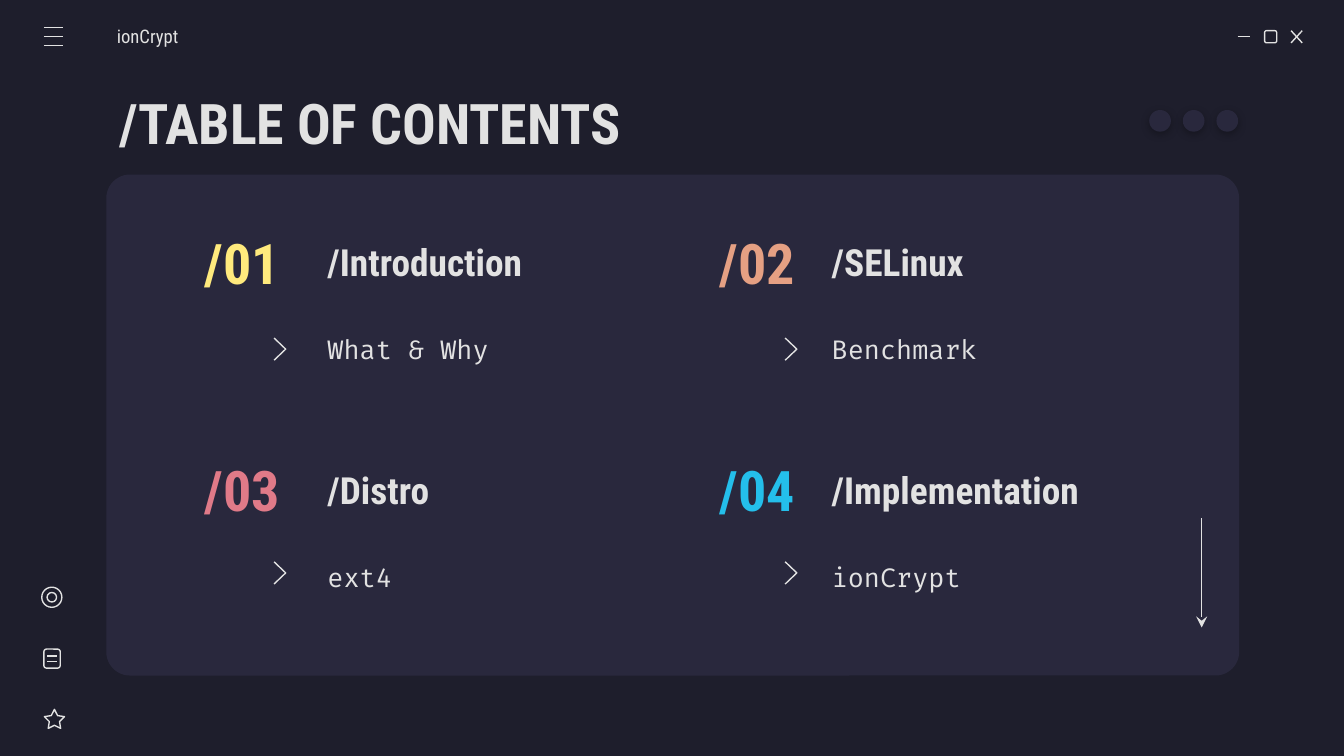
import typing

import lxml.etree
import pptx
import pptx.dml.color
import pptx.enum.shapes
import pptx.enum.text
import pptx.oxml.ns
import pptx.util

Cm = pptx.util.Cm
RGBColor = pptx.dml.color.RGBColor
Shape = pptx.enum.shapes.MSO_SHAPE
Align = pptx.enum.text.PP_ALIGN

NIGHT = RGBColor(0x1E, 0x1E, 0x2C)
PANEL = RGBColor(0x29, 0x28, 0x3D)
PALE = RGBColor(0xE2, 0xE2, 0xE2)
YELLOW = RGBColor(0xFF, 0xEA, 0x7D)
ORANGE = RGBColor(0xE5, 0xA0, 0x83)
ROSE = RGBColor(0xE0, 0x7A, 0x88)
CYAN = RGBColor(0x24, 0xBF, 0xEB)
BLACK = RGBColor(0, 0, 0)

HEADING_FONT = "Roboto Condensed"
CODE_FONT = "Fira Code"
PRODUCT = "ionCrypt"

ENTRIES = [
    ("/01", YELLOW, "/Introduction", "What & Why"),
    ("/02", ORANGE, "/SELinux", "Benchmark"),
    ("/03", ROSE, "/Distro", "ext4"),
    ("/04", CYAN, "/Implementation", PRODUCT),
]


class Box(typing.NamedTuple):
    """Left, top, width and height in centimetres."""

    left: float
    top: float
    width: float
    height: float

    def inner(self, left, top, width, height):
        """Return a box offset from this one's corner."""
        return Box(self.left + left, self.top + top, width, height)

    def lengths(self):
        """Return the four values as slide lengths."""
        return [Cm(value) for value in self]


def add_text(page, box, text, size, font=HEADING_FONT, color=PALE, bold=True,
             align=Align.LEFT, inset=0.25):
    """Add one middle-anchored line of text."""
    frame = page.shapes.add_textbox(*box.lengths()).text_frame
    frame.word_wrap = True
    frame.vertical_anchor = pptx.enum.text.MSO_ANCHOR.MIDDLE
    frame.margin_left = Cm(inset)
    frame.margin_right = frame.margin_top = frame.margin_bottom = Cm(0.25)
    frame.text = text
    para = frame.paragraphs[0]
    para.alignment = align
    span = para.runs[0].font
    span.name, span.size, span.bold = font, pptx.util.Pt(size), bold
    span.color.rgb = color


def outline(shape):
    """Give a shape a thin pale outline and no fill."""
    shape.shadow.inherit = False
    shape.fill.background()
    shape.line.color.rgb = PALE
    shape.line.width = pptx.util.Pt(0.75)


def add_icon(page, kind, box):
    """Add an outlined preset shape."""
    shape = page.shapes.add_shape(kind, *box.lengths())
    outline(shape)
    return shape


def add_filled(page, kind, box):
    """Add a panel-coloured shape without an outline."""
    shape = page.shapes.add_shape(kind, *box.lengths())
    shape.shadow.inherit = False
    shape.fill.solid()
    shape.fill.fore_color.rgb = PANEL
    shape.line.fill.background()
    return shape


def add_line(page, x1, y1, x2, y2):
    """Add a thin pale straight line."""
    line = page.shapes.add_connector(
        pptx.enum.shapes.MSO_CONNECTOR.STRAIGHT, Cm(x1), Cm(y1), Cm(x2), Cm(y2))
    line.line.color.rgb = PALE
    line.line.width = pptx.util.Pt(0.75)
    lxml.etree.SubElement(line._element.spPr, pptx.oxml.ns.qn("a:effectLst"))
    return line


def add_window_buttons(page, box):
    """Draw the minimise, maximise and close buttons."""
    left, top, width, height = box
    right, bottom = left + width, top + height
    add_line(page, left, top + height / 2, left + height, top + height / 2)
    add_icon(page, Shape.ROUNDED_RECTANGLE, box.inner(0.51, 0, height, height))
    add_line(page, right - 0.21, top, right, bottom)
    add_line(page, right, top, right - 0.21, bottom)


def add_menu(page, box):
    """Draw the three-line menu icon."""
    for step in range(3):
        y = box.top + step * box.height / 2
        add_line(page, box.left, y, box.left + box.width, y)


def add_sidebar(page, box):
    """Draw the target, document and star icons."""
    add_icon(page, Shape.OVAL, box.inner(0, 0, 0.38, 0.38))
    add_icon(page, Shape.OVAL, box.inner(0.1, 0.1, 0.18, 0.18))
    add_icon(page, Shape.ROUNDED_RECTANGLE, box.inner(0.04, 1.17, 0.31, 0.36))
    for drop in (1.3, 1.4):
        y = box.top + drop
        add_line(page, box.left + 0.1, y, box.left + 0.28, y)
    star = add_icon(page, Shape.STAR_5_POINT, box.inner(0.05, 2.31, 0.38, 0.36))
    star.adjustments[0] = 0.254


def add_dots(page, box):
    """Draw three evenly spaced dots with soft shadows."""
    pitch = (box.width - box.height) / 2
    for step in range(3):
        dot = add_filled(page, Shape.OVAL,
                         box.inner(step * pitch, 0, box.height, box.height))
        effects = dot._element.spPr.find(pptx.oxml.ns.qn("a:effectLst"))
        shadow = lxml.etree.SubElement(
            effects, pptx.oxml.ns.qn("a:outerShdw"),
            blurRad="57150", dist="19050", dir="5400000",
            algn="bl", rotWithShape="0")
        tint = lxml.etree.SubElement(
            shadow, pptx.oxml.ns.qn("a:srgbClr"), val=str(BLACK))
        lxml.etree.SubElement(tint, pptx.oxml.ns.qn("a:alpha"), val="30000")


def add_entry(page, box, number, color, heading, detail):
    """Place a number, its heading and the detail below."""
    text_left = box.width - 6.5
    add_text(page, box.inner(0, 0, 2.31, 1.42), number, 30,
             color=color, align=Align.CENTER)
    add_text(page, box.inner(text_left, 0, 6.5, 1.42), heading, 20)
    add_text(page, box.inner(text_left, 1.41, 6.5, 1.9), detail, 14,
             font=CODE_FONT, bold=False)


def add_chevron(page, box):
    """Draw an open right-pointing chevron."""
    left, top, width, height = box.lengths()
    builder = page.shapes.build_freeform(left, top)
    builder.add_line_segments(
        [(left + width, top + height // 2), (left, top + height)], close=False)
    outline(builder.convert_to_shape())


def add_contents(page, box):
    """Draw the panel with its two-by-two entries and scroll arrow."""
    panel = add_filled(page, Shape.ROUNDED_RECTANGLE, box)
    panel.adjustments[0] = 0.047
    columns = [(1.42, 9.01, 3.17), (11.15, 8.81, 12.83)]
    rows = [(0.94, 3.09), (5.24, 7.32)]
    for index, entry in enumerate(ENTRIES):
        left, width, chevron_left = columns[index % 2]
        top, chevron_top = rows[index // 2]
        add_entry(page, box.inner(left, top, width, 3.31), *entry)
        add_chevron(page, box.inner(chevron_left, chevron_top, 0.22, 0.42))
    x = box.left + 20.7
    arrow = add_line(page, x, box.top + 6.5, x, box.top + 8.56)
    lxml.etree.SubElement(arrow.line._get_or_add_ln(),
                          pptx.oxml.ns.qn("a:tailEnd"), type="stealth")


def main():
    """Build and save the deck."""
    deck = pptx.Presentation()
    deck.slide_width, deck.slide_height = Cm(25.4), Cm(14.29)
    page = deck.slides.add_slide(deck.slide_layouts[6])
    page.background.fill.solid()
    page.background.fill.fore_color.rgb = NIGHT
    add_contents(page, Box(2.01, 3.3, 21.41, 9.47))
    add_window_buttons(page, Box(23.39, 0.58, 1.22, 0.23))
    add_text(page, Box(2.01, 1.5, 21.41, 1.6), "/TABLE OF CONTENTS", 30)
    add_text(page, Box(2.21, 0.3, 2.97, 0.76), PRODUCT, 10, bold=False, inset=0)
    add_menu(page, Box(0.83, 0.52, 0.37, 0.34))
    add_sidebar(page, Box(0.79, 11.1, 0.43, 2.67))
    add_dots(page, Box(21.72, 2.08, 1.68, 0.41))
    deck.save("out.pptx")


if __name__ == "__main__":
    main()
